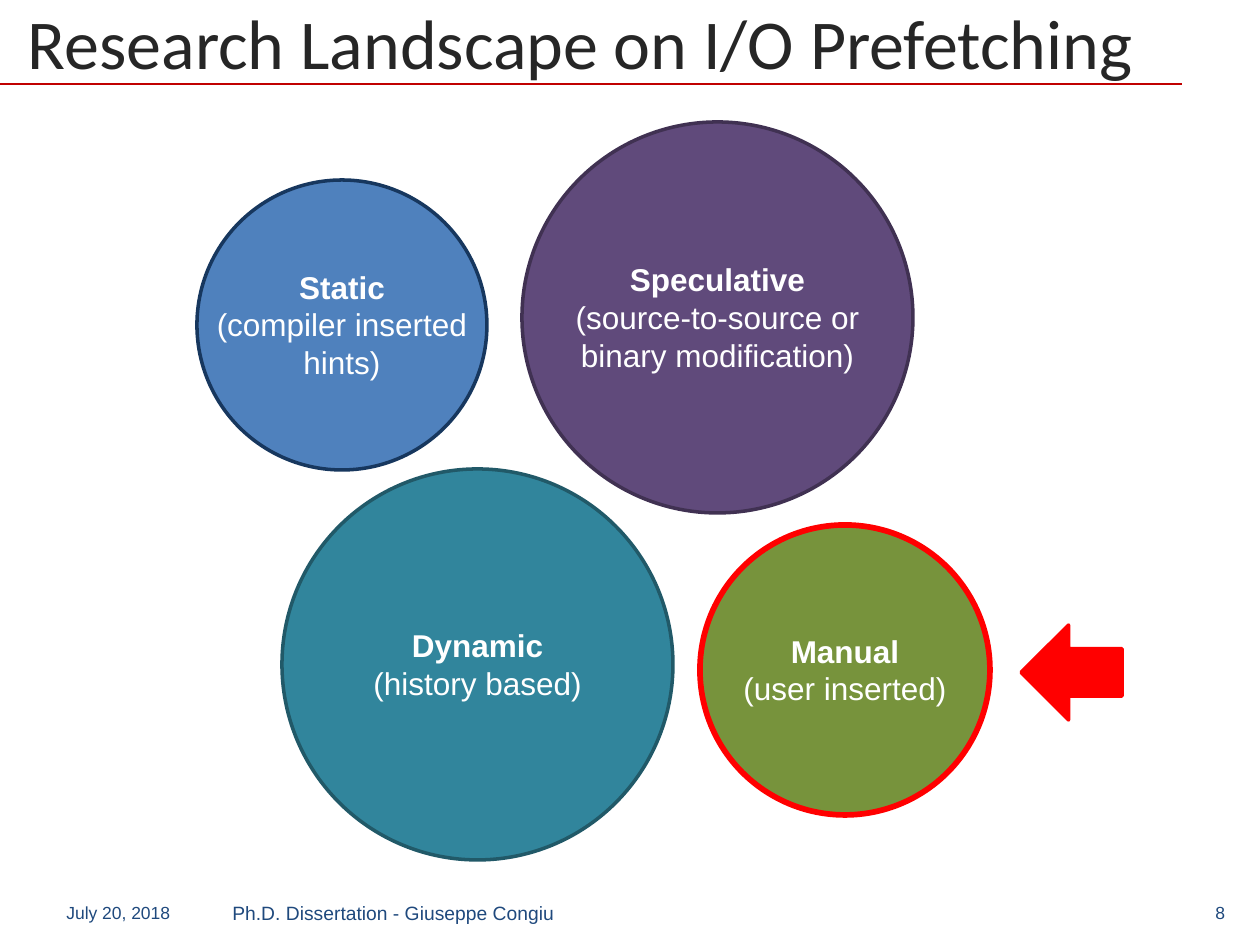
"""Build the slide on the research landscape of I/O prefetching."""
from lxml.etree import SubElement
from pptx import Presentation
from pptx.dml.color import RGBColor
from pptx.enum.shapes import MSO_CONNECTOR as Connector, MSO_SHAPE as Preset
from pptx.enum.text import MSO_ANCHOR as Anchor, MSO_AUTO_SIZE as AutoSize, PP_ALIGN as Align
from pptx.oxml.ns import qn
from pptx.util import Emu, Pt

TITLE = "Research Landscape on I/O Prefetching"
RED, WHITE, NAVY = "FF0000", "FFFFFF", "1F497D"
SMALL, LARGE = 290, 391
BUBBLES = [
    # left, top, diameter, fill, line, label width, lines
]
BUBBLES = [
    (197, 180, SMALL, "4F81BD", "17375E", 278, ["Static", "(compiler inserted", "hints)"]),
    (522, 122, LARGE, "604A7B", "403152", 311, ["Speculative", "(source-to-source or", "binary modification)"]),
    (282, 469, LARGE, "31859C", "215968", 236, ["Dynamic", "(history based)"]),
    (700, 525, SMALL, "77933C", None, 231, ["Manual", "(user inserted)"]),
]
HIGHLIGHT = (700, 525, SMALL, SMALL)
ARROW = (1024, 622, 95, 101)
FOOTERS = [
    ("Ph.D. Dissertation - Giuseppe Congiu", (220, 890, 806, 45), 11, Align.LEFT, None),
    ("8", (1038, 890, 187, 45), 10, Align.RIGHT, 0),
    ("July 20, 2018", (54, 890, 154, 45), 10, Align.LEFT, None),
]


def px(*values):
    return [Emu(round(value * 914400 / 126)) for value in values]


def color(value):
    return RGBColor.from_string(value)


def set_margins(frame, margin):
    frame.margin_left = frame.margin_right = frame.margin_top = frame.margin_bottom = margin


def format_paragraph(paragraph, size, font_color, align, font_name="Arial", bold=False):
    paragraph.alignment = align
    for run in paragraph.runs:
        run.font.name, run.font.size, run.font.bold = font_name, Pt(size), bold
        run.font.color.rgb = color(font_color)


def add_preset(shapes, preset, box, fill, line, line_width=2):
    shape = shapes.add_shape(preset, *px(*box))
    shape.shadow.inherit = False
    if fill:
        shape.fill.solid()
        shape.fill.fore_color.rgb = color(fill)
    else:
        shape.fill.background()
    if line:
        shape.line.color.rgb = color(line)
        shape.line.width = Pt(line_width)
    else:
        shape.line.fill.background()
    return shape


def add_bubble(slide, left, top, diameter, fill, line, label_width, lines):
    shapes = slide.shapes.add_group_shape().shapes
    add_preset(shapes, Preset.OVAL, (left, top, diameter, diameter), fill, line)
    label_height = 38 * len(lines) + 13
    label = shapes.add_textbox(*px(left + (diameter - label_width) / 2,
                                   top + (diameter - label_height) / 2,
                                   label_width, label_height))
    frame = label.text_frame
    frame.word_wrap = False
    frame.auto_size = AutoSize.SHAPE_TO_FIT_TEXT
    frame.text = "\n".join(lines)
    for index, paragraph in enumerate(frame.paragraphs):
        format_paragraph(paragraph, 18, WHITE, Align.CENTER, bold=index == 0)


def add_title(slide):
    title = slide.shapes.title
    title.left, title.top, title.width, title.height = px(28, 6, 1208, 82)
    frame = title.text_frame
    frame.text = TITLE
    frame.vertical_anchor = Anchor.MIDDLE
    frame.auto_size = AutoSize.NONE
    set_margins(frame, 0)
    frame.paragraphs[0].line_spacing = 0.9
    format_paragraph(frame.paragraphs[0], 40, "262626", Align.LEFT, "Calibri")


def add_rule(slide):
    rule = slide.shapes.add_connector(Connector.STRAIGHT, *px(0, 84, 1182, 84))
    rule.line.color.rgb = color("C00000")
    rule.line.width = Pt(1)
    SubElement(rule._element.spPr, qn("a:effectLst"))


def add_footer(slide, text, box, size, align, margin):
    frame = slide.shapes.add_textbox(*px(*box)).text_frame
    frame.word_wrap = True
    frame.vertical_anchor = Anchor.MIDDLE
    if margin is not None:
        set_margins(frame, margin)
    frame.text = text
    format_paragraph(frame.paragraphs[0], size, NAVY, align)


def main():
    presentation = Presentation()
    presentation.slide_width, presentation.slide_height = px(1260, 945)
    slide = presentation.slides.add_slide(presentation.slide_layouts[5])
    add_rule(slide)
    for footer in FOOTERS:
        add_footer(slide, *footer)
    add_title(slide)
    for bubble in BUBBLES:
        add_bubble(slide, *bubble)
    add_preset(slide.shapes, Preset.OVAL, HIGHLIGHT, None, RED, 3.25)
    arrow = add_preset(slide.shapes, Preset.DOWN_ARROW, ARROW, RED, RED)
    arrow.rotation = 90
    presentation.save("out.pptx")


if __name__ == "__main__":
    main()
